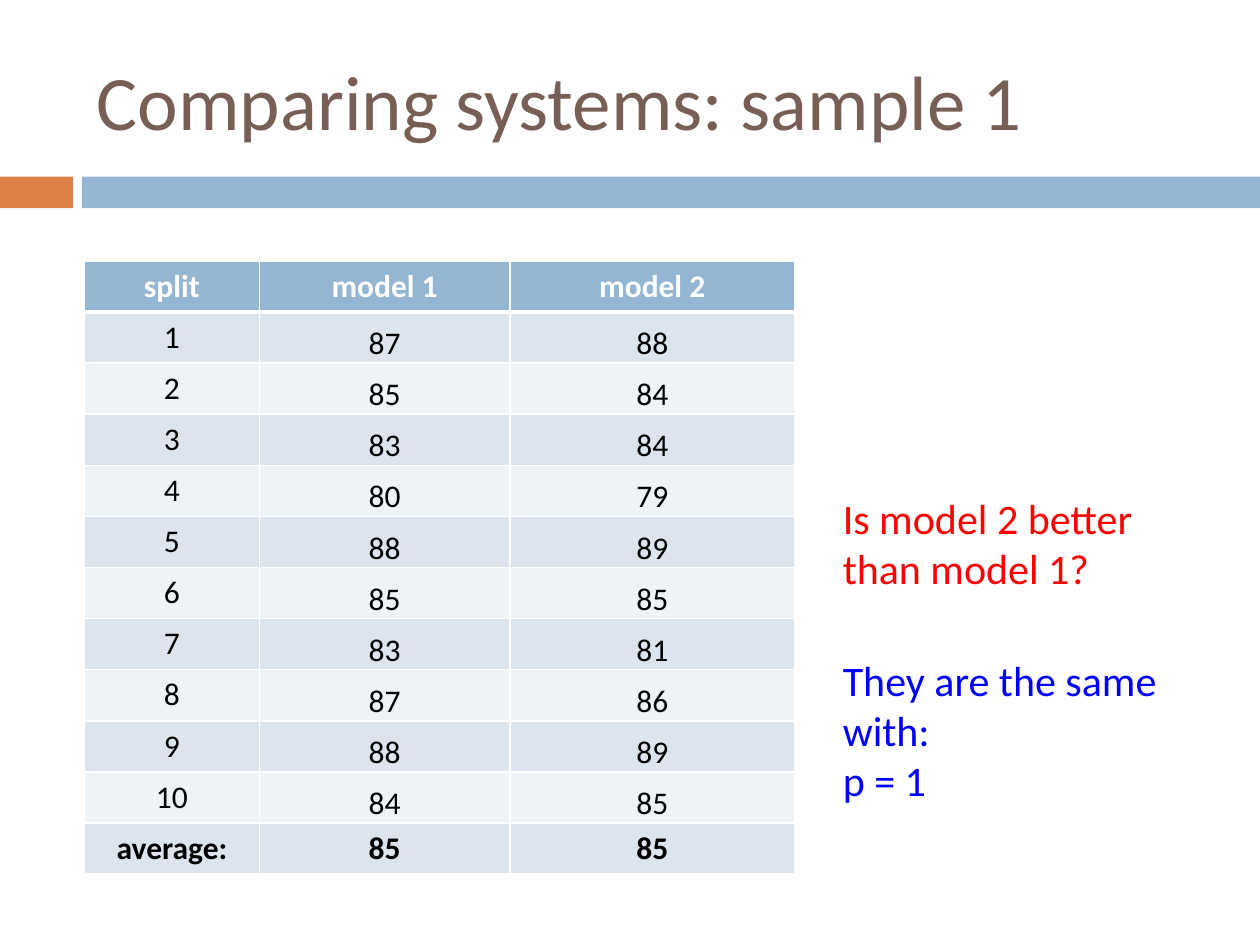
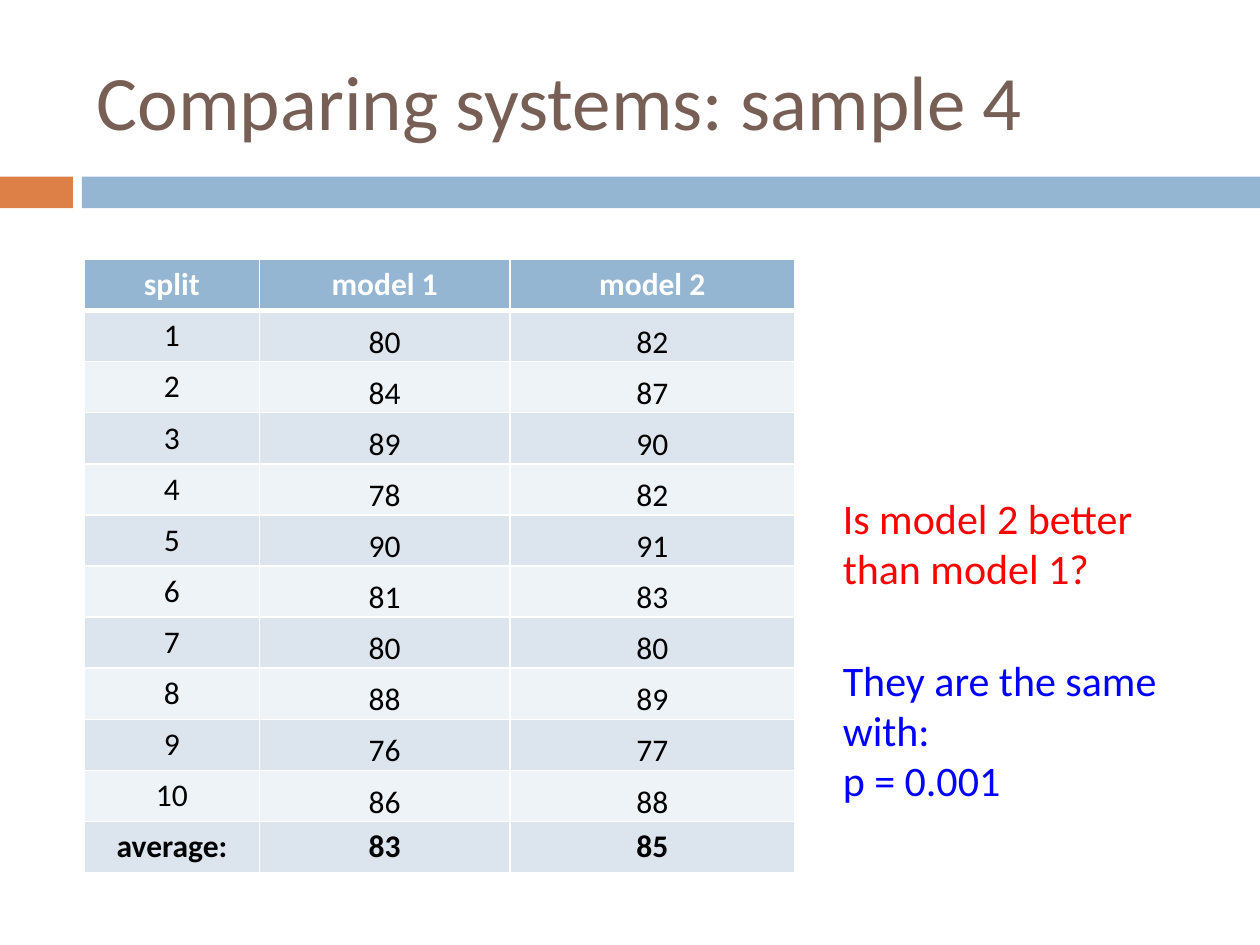
from lxml import etree
from pptx import Presentation
from pptx import util as u
from pptx.dml.color import RGBColor
from pptx.enum import shapes, text
from pptx.oxml import ns

Cm, Pt = u.Cm, u.Pt

ORANGE = RGBColor(0xDD, 0x80, 0x47)
STEEL = RGBColor(0x94, 0xB6, 0xD2)
BROWN = RGBColor(0x77, 0x5F, 0x55)
DARK = RGBColor(0xDC, 0xE5, 0xEE)
LIGHT = RGBColor(0xEE, 0xF3, 0xF7)
WHITE = RGBColor(0xFF, 0xFF, 0xFF)
BLACK = RGBColor(0, 0, 0)
RED = RGBColor(0xFF, 0, 0)
BLUE = RGBColor(0, 0, 0xFF)

FONT = "Calibri"
TITLE_BOX = (1.7, 0.64, 22.66, 2.74)
BANDS = [(0, 1.47, ORANGE), (1.65, 23.75, STEEL)]
COLS = [3.53, 5.05, 5.74]
ROW = 1.02
LEFT = 1.7
NOTE_X = 16.74

SAMPLES = [
    (1, 5.26, "1",
     [87, 85, 83, 80, 88, 85, 83, 87, 88, 84],
     [88, 84, 84, 79, 89, 85, 81, 86, 89, 85]),
    (4, 5.23, "0.001",
     [80, 84, 89, 78, 90, 81, 80, 88, 76, 86],
     [82, 87, 90, 82, 91, 83, 80, 89, 77, 88]),
]


def write(frame, *lines, size=18, color=BLACK, bold=False,
          align=text.PP_ALIGN.LEFT, anchor=text.MSO_ANCHOR.TOP):
    frame.word_wrap = True
    frame.vertical_anchor = anchor
    for i, line in enumerate(lines):
        para = frame.add_paragraph() if i else frame.paragraphs[0]
        para.alignment = align
        run = para.add_run()
        run.text = line
        font = run.font
        font.name, font.size, font.bold = FONT, Pt(size), bold
        font.color.rgb = color


def place(shape, box):
    shape.left, shape.top, shape.width, shape.height = map(Cm, box)


def add_title(slide, line):
    title = slide.shapes.title
    place(title, TITLE_BOX)
    title.text_frame.auto_size = text.MSO_AUTO_SIZE.NONE
    write(title.text_frame, line, size=44, color=BROWN,
          anchor=text.MSO_ANCHOR.MIDDLE)


def add_bands(slide):
    for left, width, color in BANDS:
        band = slide.shapes.add_shape(
            shapes.MSO_SHAPE.RECTANGLE, Cm(left), Cm(3.56), Cm(width), Cm(0.64))
        band.shadow.inherit = False
        band.fill.solid()
        band.fill.fore_color.rgb = color
        band.line.fill.background()


def add_note(slide, top, width, *lines, color):
    note = slide.shapes.add_textbox(Cm(NOTE_X), Cm(top), Cm(width), Cm(2.31))
    write(note.text_frame, *lines, size=24, color=color)


def edge(cell, **widths):
    props = cell._tc.get_or_add_tcPr()
    for side in "LRTB":
        line = etree.SubElement(props, ns.qn(f"a:ln{side}"),
                                w=str(Pt(widths.get(side, 1))))
        fill = etree.SubElement(line, ns.qn("a:solidFill"))
        etree.SubElement(fill, ns.qn("a:srgbClr"), val=str(WHITE))


def add_scores(slide, top, first, second):
    mean = [round(sum(model) / len(model)) for model in (first, second)]
    rows = [("split", "model 1", "model 2"),
            *zip(range(1, len(first) + 1), first, second),
            ("average:", *mean)]
    last = len(rows) - 1
    table = slide.shapes.add_table(
        len(rows), len(COLS), Cm(LEFT), Cm(top),
        Cm(sum(COLS)), Cm(ROW * len(rows))).table
    for col, width in zip(table.columns, COLS):
        col.width = Cm(width)
    for r, row in enumerate(rows):
        table.rows[r].height = Cm(ROW)
        for c, value in enumerate(row):
            cell = table.cell(r, c)
            score = 0 < r < last and c > 0
            write(cell.text_frame, str(value), bold=r in (0, last),
                  color=BLACK if r else WHITE, align=text.PP_ALIGN.CENTER)
            if score:
                cell.margin_left = cell.margin_right = cell.margin_top = Cm(0.03)
                cell.margin_bottom = 0
            cell.vertical_anchor = (text.MSO_ANCHOR.BOTTOM if score
                                    else text.MSO_ANCHOR.TOP)
            edge(cell, T=3 if r == 1 else 1, B=1 if r else 3)
            cell.fill.solid()
            cell.fill.fore_color.rgb = (DARK if r % 2 else LIGHT) if r else STEEL


def main():
    deck = Presentation()
    deck.slide_width, deck.slide_height = Cm(25.4), Cm(19.05)
    for number, top, chance, first, second in SAMPLES:
        slide = deck.slides.add_slide(deck.slide_layouts[5])
        add_bands(slide)
        add_title(slide, f"Comparing systems: sample {number}")
        add_scores(slide, top, first, second)
        add_note(slide, 9.8, 7.59, "Is model 2 better than model 1?", color=RED)
        add_note(slide, 13.06, 8.56, "They are the same with:",
                 f"p = {chance}", color=BLUE)
    deck.save("out.pptx")


if __name__ == "__main__":
    main()
